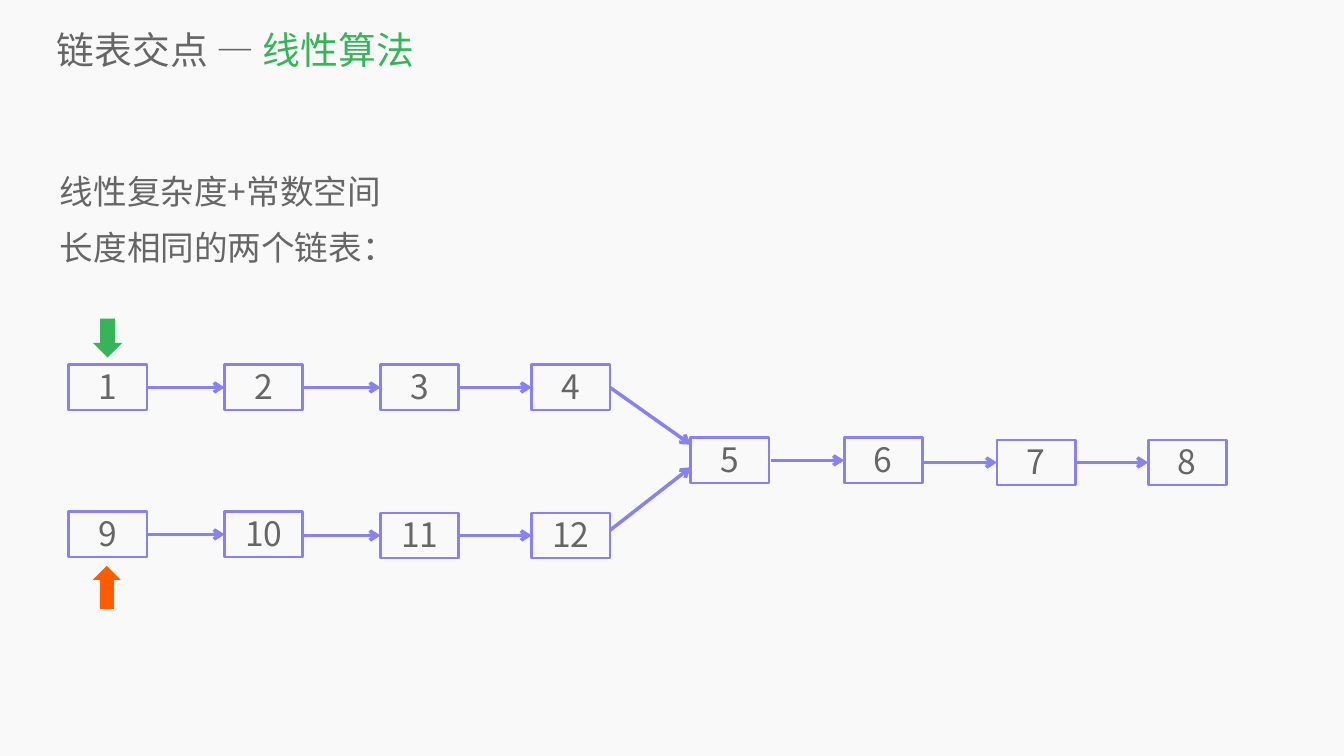
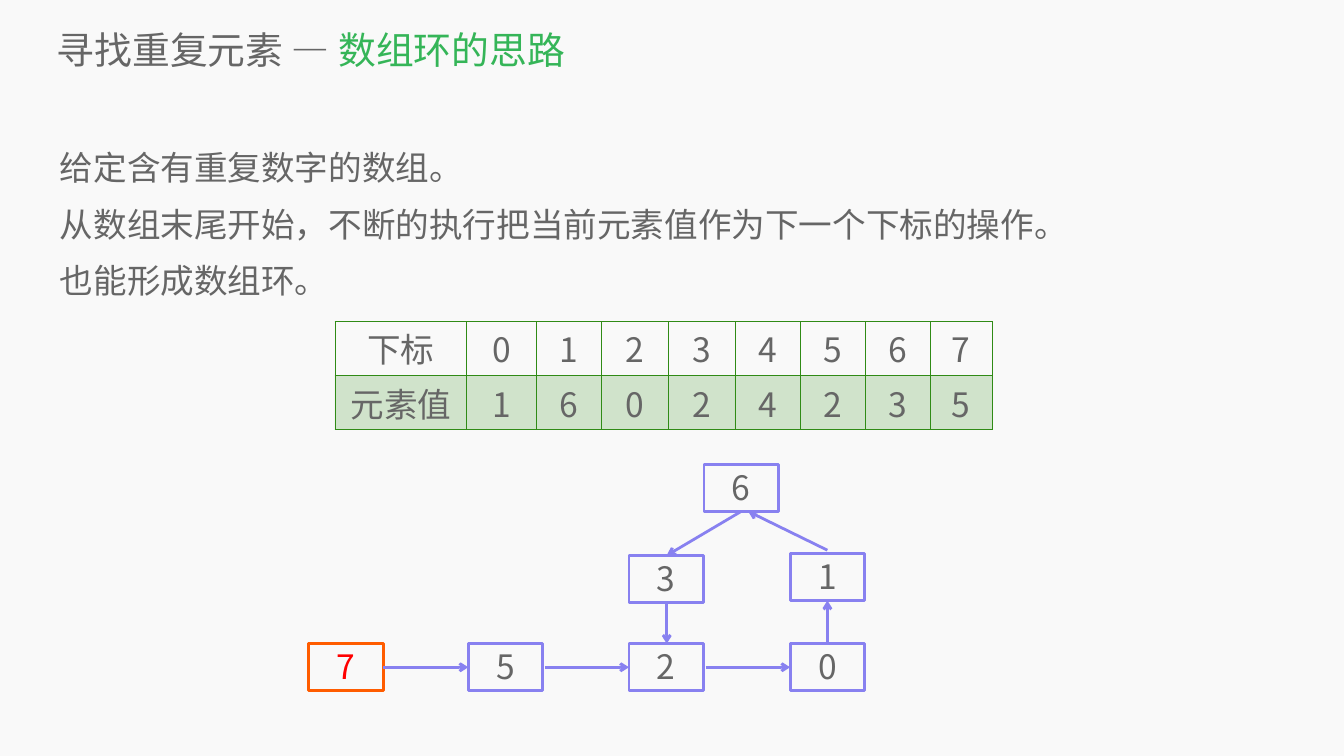
from dataclasses import dataclass

from lxml import etree
from pptx import Presentation
from pptx.dml.color import RGBColor
from pptx.enum.shapes import MSO_CONNECTOR, MSO_SHAPE
from pptx.enum.text import MSO_ANCHOR, PP_ALIGN
from pptx.oxml.ns import qn
from pptx.util import Pt

PX = 9525
RECT, DOWN, UP = MSO_SHAPE.RECTANGLE, MSO_SHAPE.DOWN_ARROW, MSO_SHAPE.UP_ARROW
STRAIGHT = MSO_CONNECTOR.STRAIGHT
TOP, MIDDLE = MSO_ANCHOR.TOP, MSO_ANCHOR.MIDDLE
CENTER = PP_ALIGN.CENTER


@dataclass(frozen=True)
class Theme:
    font: str = "Noto Sans CJK SC"
    title_size: int = 54
    body_size: int = 48
    back: str = "F9F9F9"
    text: str = "666666"
    green: str = "35B558"
    orange: str = "FF5C00"
    red: str = "FF0000"
    violet: str = "8881F0"
    table: str = "308B16"


T = Theme()
RGB = RGBColor.from_string


def px(*values):
    return [v * PX for v in values]


def write(p, text, color=T.text, size=T.body_size):
    """Add a run with the theme font for Latin and East Asian text."""
    r = p.add_run()
    r.text = text
    for name, value in {"name": T.font, "size": Pt(size)}.items():
        setattr(r.font, name, value)
    r.font.color.rgb = RGB(color)
    latin = r.font._element.find(qn("a:latin"))
    latin.addnext(latin.makeelement(qn("a:ea"), {"typeface": T.font}))


NO_MARGINS = {"word_wrap": True, "margin_left": 0, "margin_right": 0,
              "margin_top": 0, "margin_bottom": 0}
TITLE_FORMAT = {**NO_MARGINS, "vertical_anchor": MIDDLE}
BODY_FORMAT = {**NO_MARGINS, "vertical_anchor": TOP}
NODE_FORMAT = {**TITLE_FORMAT, "margin_bottom": 5 * PX}

# chains: labels joined by level arrows, and the gap before each arrow
# arrows: the ends of all other arrows, as x1, y1, x2, y2
SLIDES = [
    {
        "title": ("链表交点 — ", "线性算法"),
        "body_top": 294,
        "body": ["线性复杂度+常数空间", "长度相同的两个链表："],
        "node_size": (149, 86),
        "arrow_width": 5,
        "nodes": {
            "1": (131, 695), "2": (428, 695), "3": (725, 695), "4": (1013, 695),
            "9": (131, 975), "10": (428, 975), "11": (725, 977), "12": (1013, 977),
            "5": (1316, 834), "6": (1608, 834), "7": (1899, 838), "8": (2187, 838),
        },
        "chains": [("1 2 3 4", 0), ("9 10 11 12", 0), ("5 6 7", 3), ("7 8", 0)],
        "arrows": [(1162, 738, 1316, 847), (1162, 1010, 1316, 890)],
        "start": None,
        "pointers": [(DOWN, (177, 607, 56, 74), T.green),
                     (UP, (177, 1078, 53, 82), T.orange)],
        "table": None,
    },
    {
        "title": ("寻找重复元素 — ", "数组环的思路"),
        "body_top": 250,
        "body": ["给定含有重复数字的数组。",
                 "从数组末尾开始，不断的执行把当前元素值作为下一个下标的操作。",
                 "也能形成数组环。"],
        "node_size": (142, 90),
        "arrow_width": 4,
        "nodes": {
            "7": (588, 1226), "5": (892, 1226), "2": (1198, 1226), "0": (1505, 1226),
            "1": (1505, 1054), "6": (1341, 885), "3": (1198, 1058),
        },
        "chains": [("7 5", 0), ("5 2 0", 4)],
        "arrows": [(1576, 1226, 1576, 1144), (1576, 1048, 1425, 974),
                   (1412, 974, 1270, 1058), (1270, 1147, 1270, 1226)],
        "start": "7",
        "pointers": [],
        "table": [["下标", *"01234567"], ["元素值", *"16024235"]],
    },
]
COLUMNS = [251, 133, 124, 127, 127, 124, 124, 124, 118]
ROW_HEIGHT = 103

prs = Presentation()
prs.slide_width, prs.slide_height = px(2560, 1440)

for spec_ in SLIDES:
    s = prs.slides.add_slide(prs.slide_layouts[6])
    s.background.fill.solid()
    s.background.fill.fore_color.rgb = RGB(T.back)

    # Title and body text
    tf = s.shapes.add_textbox(*px(108, 45, 2415, 98)).text_frame
    for name, value in TITLE_FORMAT.items():
        setattr(tf, name, value)
    for text, color in zip(spec_["title"], (T.text, T.green)):
        write(tf.paragraphs[0], text, color, T.title_size)

    tf = s.shapes.add_textbox(*px(114, spec_["body_top"], 2331, 1079)).text_frame
    for name, value in BODY_FORMAT.items():
        setattr(tf, name, value)
    for i, text in enumerate(spec_["body"]):
        p = tf.add_paragraph() if i else tf.paragraphs[0]
        p.line_spacing = 1.4
        write(p, text)

    # Table of indexes and values
    if spec_["table"]:
        rows = spec_["table"]
        frame = s.shapes.add_table(len(rows), len(COLUMNS), *px(
            638, 612, sum(COLUMNS), ROW_HEIGHT * len(rows)))
        table = frame.table
        table.first_row = table.horz_banding = False
        for column, width in zip(table.columns, COLUMNS):
            column.width = width * PX
        for y, row in enumerate(rows):
            table.rows[y].height = ROW_HEIGHT * PX
            for x, text in enumerate(row):
                cell = table.cell(y, x)
                cell.vertical_anchor = MIDDLE
                p = cell.text_frame.paragraphs[0]
                p.alignment = CENTER
                write(p, text)
                tc_pr = cell._tc.get_or_add_tcPr()
                for side in ("lnL", "lnR", "lnT", "lnB"):
                    ln = etree.SubElement(tc_pr, qn(f"a:{side}"), w=str(Pt(1)))
                    fill = etree.SubElement(ln, qn("a:solidFill"))
                    etree.SubElement(fill, qn("a:srgbClr"), val=T.table)
                if y == 0:
                    cell.fill.background()
                else:
                    cell.fill.solid()
                    cell.fill.fore_color.rgb = RGB(T.table)
                    clr = tc_pr.find(qn("a:solidFill")).find(qn("a:srgbClr"))
                    etree.SubElement(clr, qn("a:alpha"), val="20000")

    # Nodes
    nodes = spec_["nodes"]
    width, height = spec_["node_size"]
    for label, (x, y) in nodes.items():
        is_start = label == spec_["start"]
        sp = s.shapes.add_shape(RECT, *px(x, y, width, height))
        sp.shadow.inherit = False
        sp.fill.background()
        sp.line.color.rgb = RGB(T.orange if is_start else T.violet)
        sp.line.width = Pt(4)
        tf = sp.text_frame
        for name, value in NODE_FORMAT.items():
            setattr(tf, name, value)
        p = tf.paragraphs[0]
        p.alignment = CENTER
        write(p, label, T.red if is_start else T.text)

    # Arrows between nodes
    arrows = list(spec_["arrows"])
    for labels, gap in spec_["chains"]:
        labels = labels.split()
        for a, b in zip(labels, labels[1:]):
            end_x, top = nodes[b]
            middle = top + height // 2
            arrows.append((nodes[a][0] + width + gap, middle, end_x, middle))
    for ends in arrows:
        sp = s.shapes.add_connector(STRAIGHT, *px(*ends))
        sp.line.color.rgb = RGB(T.violet)
        sp.line.width = Pt(spec_["arrow_width"])
        etree.SubElement(sp.line._get_or_add_ln(), qn("a:tailEnd"), type="arrow")
        etree.SubElement(sp._element.spPr, qn("a:effectLst"))

    # Block arrows marking the current nodes
    for kind, box, color in spec_["pointers"]:
        sp = s.shapes.add_shape(kind, *px(*box))
        sp.shadow.inherit = False
        sp.fill.solid()
        sp.fill.fore_color.rgb = RGB(color)
        sp.line.fill.background()

prs.save("out.pptx")
